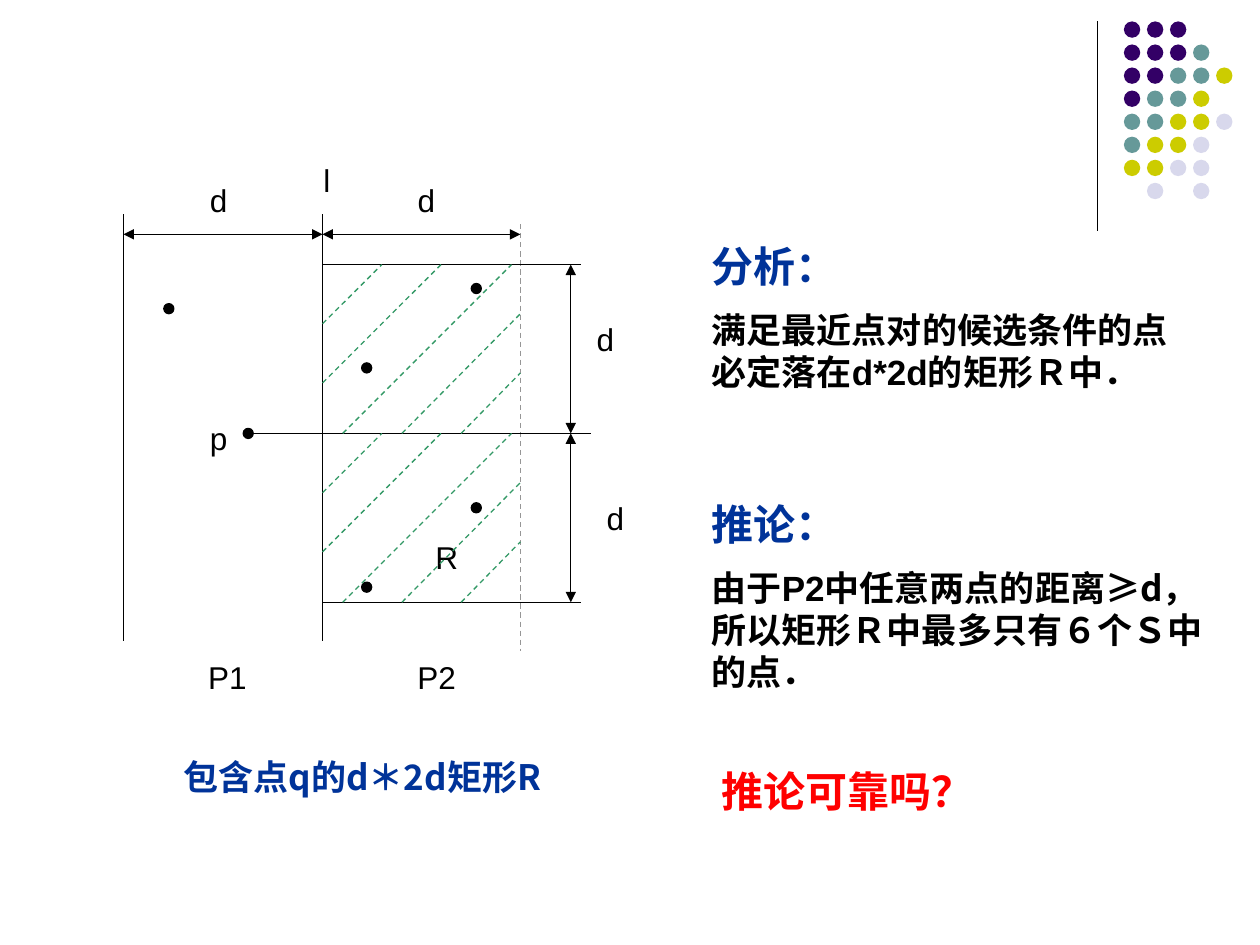
from typing import NamedTuple

from lxml import etree
from pptx import Presentation
from pptx.dml.color import RGBColor
from pptx.enum.dml import MSO_LINE
from pptx.enum.shapes import MSO_CONNECTOR, MSO_SHAPE
from pptx.enum.text import MSO_AUTO_SIZE, PP_ALIGN
from pptx.oxml.ns import qn
from pptx.util import Inches, Pt

STRAIGHT, OVAL = MSO_CONNECTOR.STRAIGHT, MSO_SHAPE.OVAL
DASH = MSO_LINE.DASH
LEFT, CENTER = PP_ALIGN.LEFT, PP_ALIGN.CENTER
ARIAL, CJK = "Arial", "Noto Sans CJK SC"
BLACK, BLUE, RED, GREEN, GRAY = "000000", "003399", "FF0000", "339966", "969696"


class Line(NamedTuple):
    x1: float
    y1: float
    x2: float
    y2: float
    color: str = BLACK
    dashed: bool = False
    arrows: bool = False


class Run(NamedTuple):
    text: str
    size: int
    color: str = BLACK
    font: str = ARIAL
    bold: bool = True


class Label(NamedTuple):
    text: str
    x: float
    y: float


def rgb(color: str) -> RGBColor:
    return RGBColor.from_string(color)


def draw_line(s, line: Line) -> None:
    cn = s.shapes.add_connector(STRAIGHT, Inches(line.x1), Inches(line.y1),
                                Inches(line.x2), Inches(line.y2))
    cn.line.color.rgb = rgb(line.color)
    cn.line.width = Pt(0.75)
    if line.dashed:
        cn.line.dash_style = DASH
    if line.arrows:
        ln = cn.line._get_or_add_ln()
        for end in ("a:headEnd", "a:tailEnd"):
            etree.SubElement(ln, qn(end), type="triangle")
    etree.SubElement(cn._element.spPr, qn("a:effectLst"))


def draw_dot(s, x: float, y: float, size: float, color: str, outlined: bool) -> None:
    sp = s.shapes.add_shape(OVAL, Inches(x), Inches(y), Inches(size), Inches(size))
    sp.shadow.inherit = False
    sp.fill.solid()
    sp.fill.fore_color.rgb = rgb(color)
    if outlined:
        sp.line.color.rgb = rgb(color)
        sp.line.width = Pt(0.75)
    else:
        sp.line.fill.background()


def draw_text(s, x: float, y: float, w: float, h: float,
              paragraphs: list[list[Run]], align=LEFT) -> None:
    tf = s.shapes.add_textbox(Inches(x), Inches(y), Inches(w), Inches(h)).text_frame
    tf.word_wrap = True
    tf.auto_size = MSO_AUTO_SIZE.SHAPE_TO_FIT_TEXT
    for i, runs in enumerate(paragraphs):
        p = tf.add_paragraph() if i else tf.paragraphs[0]
        p.alignment = align
        if i:
            p.space_before = Pt(runs[0].size / 2)
        for run in runs:
            r = p.add_run()
            r.text = run.text
            r.font.name = run.font
            r.font.size = Pt(run.size)
            r.font.bold = run.bold
            r.font.color.rgb = rgb(run.color)
            etree.SubElement(r.font._element, qn("a:ea"), typeface=CJK)


prs = Presentation()
prs.slide_width, prs.slide_height = Inches(10), Inches(7.5)
s = prs.slides.add_slide(prs.slide_layouts[6])

# Corner decoration: one letter per dot colour
DOT_COLORS = {"P": "330066", "T": "669999", "Y": "CCCC00", "L": "D8D8EC"}
DOT_ROWS = ["PPP", "PPPT", "PPTTY", "PTTY", "TTYYL", "TYYL", "YYLL", ".L.L"]
draw_line(s, Line(8.71, 0.17, 8.71, 1.83))
for row, letters in enumerate(DOT_ROWS):
    for col, letter in enumerate(letters):
        if letter in DOT_COLORS:
            draw_dot(s, 8.92 + 0.183 * col, 0.17 + 0.183 * row, 0.13,
                     DOT_COLORS[letter], False)

# Diagram frame: strips P1 and P2, rectangle R of two d-high halves
X_LEFT, X_MID, X_RIGHT, X_DIM = 0.98, 2.56, 4.13, 4.53
Y_TOP, Y_MID, Y_BOTTOM = 2.1, 3.44, 4.78
for line in [
    Line(X_LEFT, 1.7, X_LEFT, 5.09),
    Line(X_MID, 1.7, X_MID, 5.09),
    Line(X_RIGHT, 1.78, X_RIGHT, 5.17, GRAY, dashed=True),
    Line(X_MID, Y_TOP, 4.61, Y_TOP),
    Line(1.93, Y_MID, 4.69, Y_MID),
    Line(X_MID, Y_BOTTOM, 4.61, Y_BOTTOM),
    Line(X_LEFT, 1.86, X_MID, 1.86, arrows=True),
    Line(X_MID, 1.86, X_RIGHT, 1.86, arrows=True),
    Line(X_DIM, Y_TOP, X_DIM, Y_MID, arrows=True),
    Line(X_DIM, Y_MID, X_DIM, Y_BOTTOM, arrows=True),
]:
    draw_line(s, line)

# Points
for x, y in [(1.3, 2.41), (1.93, 3.4), (2.87, 4.62), (2.87, 2.88),
             (3.74, 2.25), (3.74, 3.99)]:
    draw_dot(s, x, y, 0.08, BLACK, True)

# Diagram labels
for label in [
    Label("l", 2.32, 1.23), Label("d", 3.11, 1.39), Label("d", 1.46, 1.39),
    Label("d", 4.53, 2.49), Label("d", 4.61, 3.91), Label("P1", 1.53, 5.17),
    Label("P2", 3.19, 5.17), Label("p", 1.46, 3.28), Label("R", 3.27, 4.22),
]:
    draw_text(s, label.x, label.y, 0.55, 0.4,
              [[Run(label.text, 18, bold=False)]], CENTER)

# Hatching, the same in both halves; y is measured from the top of the half
HATCH = [(X_MID, 0.47, 3.03, 0), (X_MID, 0.94, 3.5, 0), (2.72, 1.34, 4.06, 0),
         (3.19, 1.34, X_RIGHT, 0.39), (3.66, 1.34, X_RIGHT, 0.86)]
for top in (Y_TOP, Y_MID):
    for x1, y1, x2, y2 in HATCH:
        draw_line(s, Line(x1, top + y1, x2, top + y2, GREEN, dashed=True))

# Caption and explanation
draw_text(s, 0.75, 5.95, 4.25, 0.43,
          [[Run("包含点q的d＊2d矩形R", 20, BLUE, CJK)]], CENTER)
draw_text(s, 5.55, 1.86, 4.02, 1.33, [
    [Run("分析：", 24, BLUE)],
    [Run("满足最近点对的候选条件的点必定落在d*2d的矩形Ｒ中．", 20)],
])
draw_text(s, 5.55, 3.91, 4.17, 1.67, [
    [Run("推论：", 24, BLUE)],
    [Run("由于P2中任意两点的距离", 20), Run("≥d，所以", 20, font=CJK),
     Run("矩形Ｒ中最多只有６个Ｓ中的点．", 20)],
])
draw_text(s, 5.63, 6.03, 2.52, 0.5, [[Run("推论可靠吗？", 24, RED)]])

prs.save("out.pptx")
